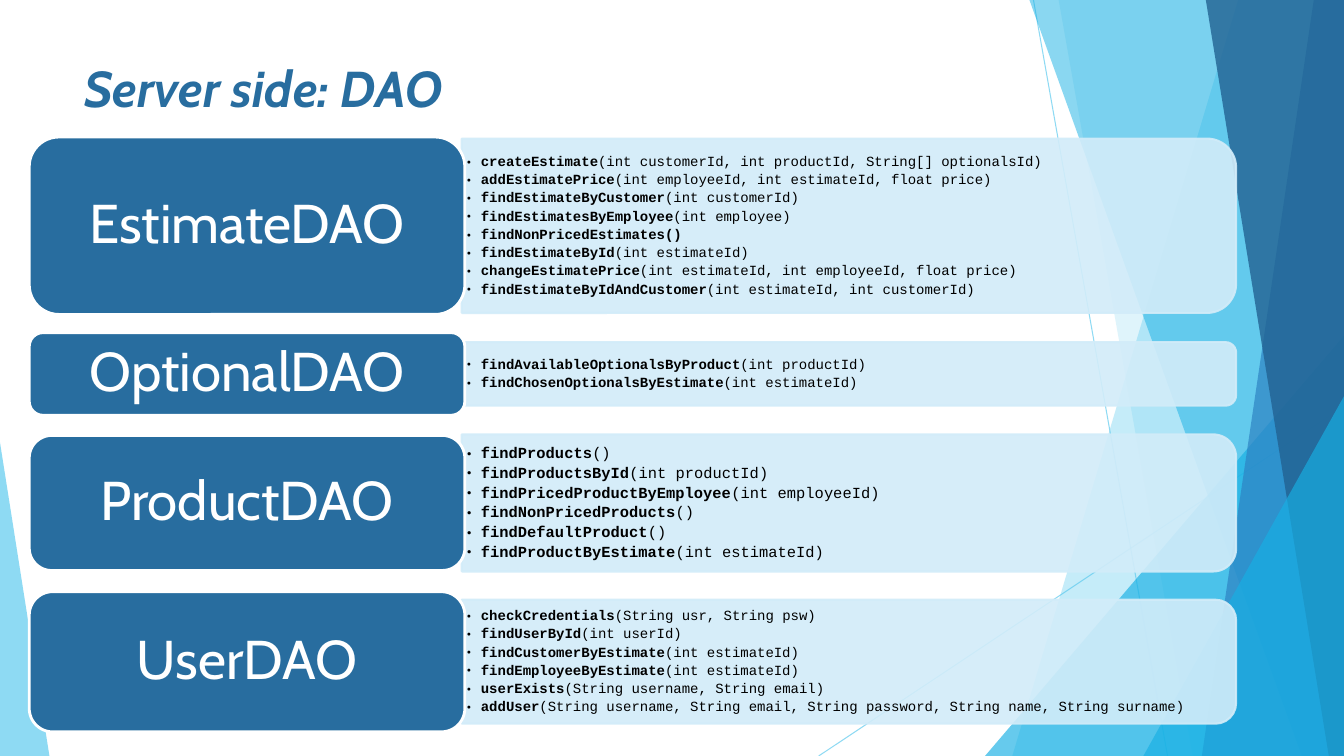
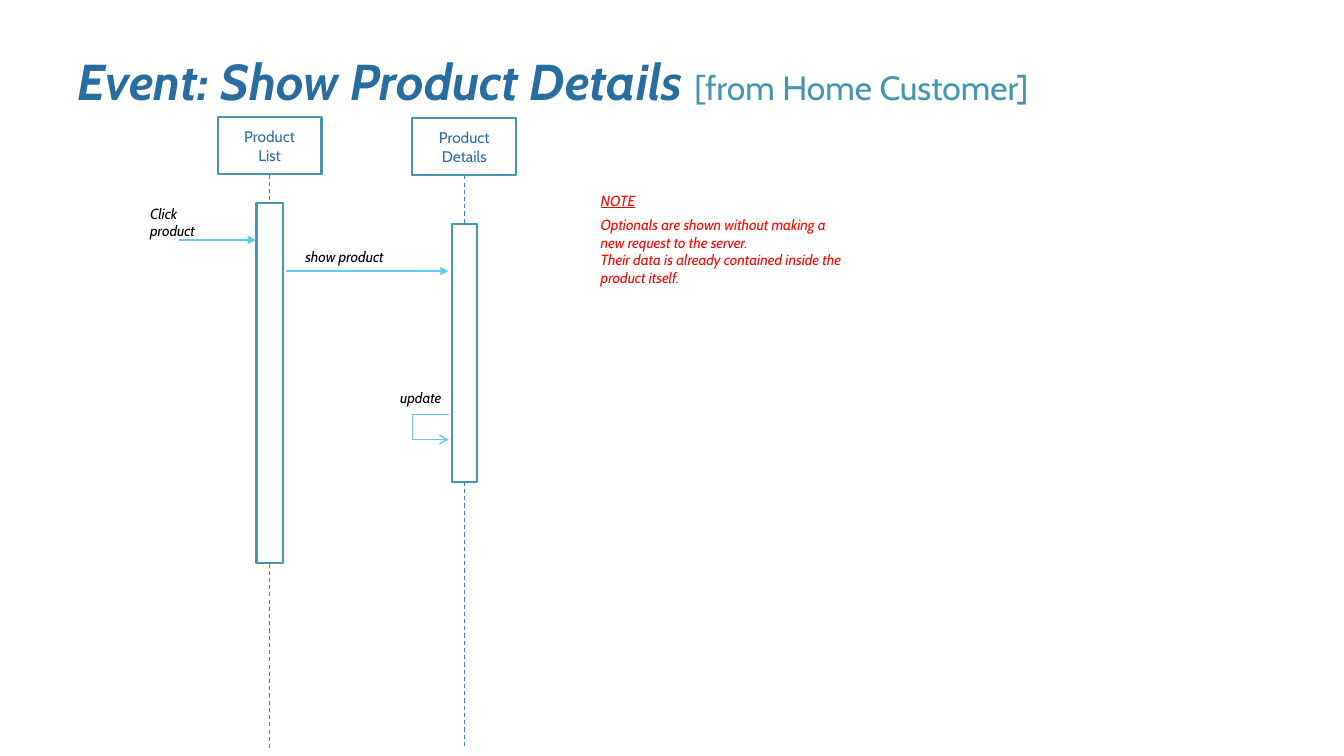
from itertools import pairwise

from pptx import Presentation
from pptx.dml.color import RGBColor
from pptx.enum.dml import MSO_LINE
from pptx.enum.shapes import MSO_CONNECTOR, MSO_SHAPE
from pptx.enum.text import MSO_ANCHOR, PP_ALIGN
from pptx.oxml.ns import qn
from pptx.util import Pt
from lxml.etree import SubElement

PX = 9144
WIDTH, HEIGHT = 1333, 750
BODY, CODE = "Cabin", "Courier New"
NAVY, TEAL, SKY, CYAN, BLUE = "286D9F", "4696B1", "5FCBEF", "17B0E4", "2E83C3"
DEEP, PALE, SUBTITLE = "226292", "D2ECF9", "4495B0"
BLACK, WHITE, RED = "000000", "FFFFFF", "FF0000"

DAOS = [
    ("EstimateDAO", 136, 176, 173, 10, [
        ("createEstimate", "(int customerId, int productId, String[] optionalsId)"),
        ("addEstimatePrice", "(int employeeId, int estimateId, float price)"),
        ("findEstimateByCustomer", "(int customerId)"),
        ("findEstimatesByEmployee", "(int employee)"),
        ("findNonPricedEstimates()", ""),
        ("findEstimateById", "(int estimateId)"),
        ("changeEstimatePrice", "(int estimateId, int employeeId, float price)"),
        ("findEstimateByIdAndCustomer", "(int estimateId, int customerId)"),
    ]),
    ("OptionalDAO", 330, 82, 63, 10, [
        ("findAvailableOptionalsByProduct", "(int productId)"),
        ("findChosenOptionalsByEstimate", "(int estimateId)"),
    ]),
    ("ProductDAO", 432, 134, 136, 11, [
        ("findProducts", "()"),
        ("findProductsById", "(int productId)"),
        ("findPricedProductByEmployee", "(int employeeId)"),
        ("findNonPricedProducts", "()"),
        ("findDefaultProduct", "()"),
        ("findProductByEstimate", "(int estimateId)"),
    ]),
    ("UserDAO", 587, 139, 123, 10, [
        ("checkCredentials", "(String usr, String psw)"),
        ("findUserById", "(int userId)"),
        ("findCustomerByEstimate", "(int estimateId)"),
        ("findEmployeeByEstimate", "(int estimateId)"),
        ("userExists", "(String username, String email)"),
        ("addUser", "(String username, String email, String password, String name, String surname)"),
    ]),
]


def px(n):
    """Turn px into EMU."""
    return round(n * PX)


def rgb(color):
    """Turn a hex string into a colour."""
    return RGBColor.from_string(color)


def set_alpha(sp, percent):
    """Make the fill and line of a shape see-through."""
    for clr in sp._element.spPr.iter(qn("a:srgbClr")):
        SubElement(clr, qn("a:alpha"), val=str(percent * 1000))


def style_shape(sp, fill=None, line=None, width=1.0, alpha=100):
    """Set fill, outline and transparency, and drop the shadow."""
    sp.shadow.inherit = False
    if fill:
        sp.fill.solid()
        sp.fill.fore_color.rgb = rgb(fill)
    else:
        sp.fill.background()
    if line:
        sp.line.color.rgb = rgb(line)
        sp.line.width = Pt(width)
    else:
        sp.line.fill.background()
    if alpha < 100:
        set_alpha(sp, alpha)
    return sp


def add_box(slide, kind, x, y, w, h, **style):
    """Add a styled preset shape."""
    sp = slide.shapes.add_shape(kind, px(x), px(y), px(w), px(h))
    return style_shape(sp, **style)


def add_polygon(slide, points, **style):
    """Add a styled closed outline."""
    builder = slide.shapes.build_freeform(*points[0], scale=PX)
    builder.add_line_segments(points[1:], close=True)
    return style_shape(builder.convert_to_shape(), **style)


def add_line(slide, start, end, color, width, dash=False, tail=None):
    """Add a straight line with an optional dash and arrowhead."""
    c = slide.shapes.add_connector(MSO_CONNECTOR.STRAIGHT, *map(px, start + end))
    c.line.color.rgb = rgb(color)
    c.line.width = Pt(width)
    if dash:
        c.line.dash_style = MSO_LINE.DASH
    if tail:
        SubElement(c.line._get_or_add_ln(), qn("a:tailEnd"), type=tail)
    SubElement(c._element.spPr, qn("a:effectLst"))
    return c


def add_text(slide, x, y, w, h):
    """Add an empty wrapping text box and return its frame."""
    tf = slide.shapes.add_textbox(px(x), px(y), px(w), px(h)).text_frame
    tf.word_wrap = True
    return tf


def add_run(p, text, size, color, name=BODY, bold=False, italic=False):
    """Add a formatted run to a paragraph."""
    r = p.add_run()
    r.text = text
    r.font.size, r.font.name = Pt(size), name
    r.font.bold, r.font.italic = bold, italic
    r.font.color.rgb = rgb(color)
    return r


def fill_lines(tf, lines, size, color, italic=False, align=PP_ALIGN.LEFT):
    """Write one paragraph for each line."""
    for i, line in enumerate(lines):
        p = tf.paragraphs[0] if i == 0 else tf.add_paragraph()
        p.alignment = align
        add_run(p, line, size, color, italic=italic)


def add_title(slide, x, y, w, text, note=""):
    """Add the slide title with an optional lighter note."""
    p = add_text(slide, x, y, w, 74).paragraphs[0]
    add_run(p, text, 36, NAVY, bold=True, italic=True)
    if note:
        add_run(p, note, 24, SUBTITLE)


def add_facets(slide):
    """Draw the see-through facets at the slide edges."""
    for start, end in [((1025, 0), (1158, HEIGHT)), ((WIDTH, 403), (812, HEIGHT))]:
        set_alpha(add_line(slide, start, end, SKY, 0.75), 70)

    def band(top, bottom, color, alpha):
        """Fill from a slanted edge to the right side."""
        points = [(top, 0), (WIDTH, 0), (WIDTH, HEIGHT), (bottom, HEIGHT)]
        add_polygon(slide, points, fill=color, alpha=alpha)

    def corner(x, y, w, apex, color, alpha):
        """Fill a right triangle standing on the bottom edge."""
        sp = add_box(slide, MSO_SHAPE.ISOSCELES_TRIANGLE, x, y, w, HEIGHT - y,
                     fill=color, alpha=alpha)
        sp.adjustments[0] = apex

    band(1228, 1004, SKY, 36)
    band(1050, 1183, SKY, 20)
    corner(977, 333, 356, 1, CYAN, 66)
    band(1021, 1291, CYAN, 50)
    band(1303, 1192, BLUE, 70)
    band(1196, 1318, DEEP, 80)
    corner(1134, 393, 199, 1, CYAN, 66)
    corner(0, 439, 49, 0, SKY, 70)


def add_method(p, name, args, size):
    """Write one bulleted method signature."""
    pPr = p._p.get_or_add_pPr()
    pPr.set("marL", str(px(14)))
    pPr.set("indent", str(-px(14)))
    SubElement(pPr, qn("a:buFont"), typeface=BODY)
    SubElement(pPr, qn("a:buChar"), char="•")
    p.line_spacing = 0.9
    p.space_after = Pt(2.2)
    add_run(p, name, size, BLACK, CODE, bold=True)
    if args:
        add_run(p, args, size, BLACK, CODE)


def add_dao(slide, x, y, h, panel_h, name, size, methods):
    """Add a DAO label and the panel listing its methods."""
    label_w, panel_w = 432, 768
    panel_x, mid = x + label_w - 3, y + h / 2
    panel = add_box(slide, MSO_SHAPE.ROUND_2_SAME_RECTANGLE,
                    panel_x + (panel_w - panel_h) / 2, mid - panel_w / 2, panel_h, panel_w,
                    fill=PALE, line=PALE, width=1.5, alpha=90)
    panel.rotation = 90

    tf = add_text(slide, panel_x, mid - panel_h / 2, panel_w - 8, panel_h)
    tf.vertical_anchor = MSO_ANCHOR.MIDDLE
    tf.margin_left = tf.margin_right = px(5)
    tf.margin_top = tf.margin_bottom = px(2)
    for i, (method, args) in enumerate(methods):
        add_method(tf.paragraphs[0] if i == 0 else tf.add_paragraph(), method, args, size)

    label = add_box(slide, MSO_SHAPE.ROUNDED_RECTANGLE, x, y, label_w, h,
                    fill=NAVY, line=WHITE, width=2)
    tf = label.text_frame
    tf.vertical_anchor = MSO_ANCHOR.MIDDLE
    tf.margin_top = tf.margin_bottom = px(8)
    fill_lines(tf, [name], 39, WHITE, align=PP_ALIGN.CENTER)
    tf.paragraphs[0].line_spacing = 0.9
    tf.paragraphs[0].space_after = Pt(5)


def add_lifeline(slide, x, y, lines, bar, end):
    """Add a participant head, its activation bar and dashed lifeline."""
    head_w, head_h = 103, 57
    bar_y, bar_w, bar_h = bar
    mid = x + head_w / 2
    head = add_box(slide, MSO_SHAPE.RECTANGLE, x, y, head_w, head_h, line=TEAL, width=1.5)
    head.text_frame.vertical_anchor = MSO_ANCHOR.MIDDLE
    fill_lines(head.text_frame, lines, 11, NAVY, align=PP_ALIGN.CENTER)
    active = add_box(slide, MSO_SHAPE.RECTANGLE, mid - bar_w / 2, bar_y, bar_w, bar_h,
                     line=TEAL, width=1.5)
    c = add_line(slide, (mid, y + head_h), (mid, bar_y), BLUE, 0.75, dash=True)
    c.begin_connect(head, 2)
    c.end_connect(active, 0)
    c = add_line(slide, (mid, bar_y + bar_h), (mid, end), BLUE, 0.75, dash=True)
    c.begin_connect(active, 2)


def add_message(slide, x, y, w, lines):
    """Add the label of a message."""
    tf = add_text(slide, x, y, w, 11 + 17 * len(lines))
    fill_lines(tf, lines, 10.5, BLACK, italic=True)


def add_self_call(slide, x, y, w, h):
    """Add an arrow that leaves a bar and returns to it."""
    points = [(x + w, y), (x, y), (x, y + h), (x + w, y + h)]
    for tail, (start, end) in zip([None, None, "arrow"], pairwise(points)):
        add_line(slide, start, end, SKY, 1, tail=tail)


def add_note(slide, x, y, w, h):
    """Add the red note."""
    tf = add_text(slide, x, y, w, h)
    fill_lines(tf, [
        "NOTE",
        "Optionals are shown without making a new request to the server.",
        "Their data is already contained inside the product itself.",
    ], 10.5, RED, italic=True)
    tf.paragraphs[0].space_after = Pt(5)
    tf.paragraphs[0].runs[0].font.underline = True


def build_dao_slide(slide):
    """Build the overview of the DAO classes."""
    add_facets(slide)
    add_title(slide, 74, 52, 423, "Server side: DAO")
    for name, y, h, panel_h, size, methods in DAOS:
        add_dao(slide, 29, y, h, panel_h, name, size, methods)


def build_event_slide(slide):
    """Build the sequence diagram of the event."""
    add_title(slide, 67, 45, 1179, "Event: Show Product Details ", "[from Home Customer]")
    add_lifeline(slide, 216, 116, ["Product", "List"], (201, 26, 358), 743)
    add_lifeline(slide, 409, 117, ["Product", "Details"], (222, 25, 256), 743)
    add_line(slide, (178, 238), (254, 238), SKY, 1, tail="triangle")
    add_message(slide, 139, 198, 98, ["Click", "product"])
    add_line(slide, (284, 269), (445, 269), SKY, 1, tail="triangle")
    add_message(slide, 293, 241, 150, ["show product"])
    add_message(slide, 387, 381, 77, ["update"])
    add_self_call(slide, 409, 411, 36, 25)
    add_note(slide, 586, 185, 264, 105)


def main():
    """Build and save the presentation."""
    prs = Presentation()
    prs.slide_width, prs.slide_height = px(WIDTH), px(HEIGHT)
    for build in (build_dao_slide, build_event_slide):
        build(prs.slides.add_slide(prs.slide_layouts[6]))
    prs.save("out.pptx")


if __name__ == "__main__":
    main()
